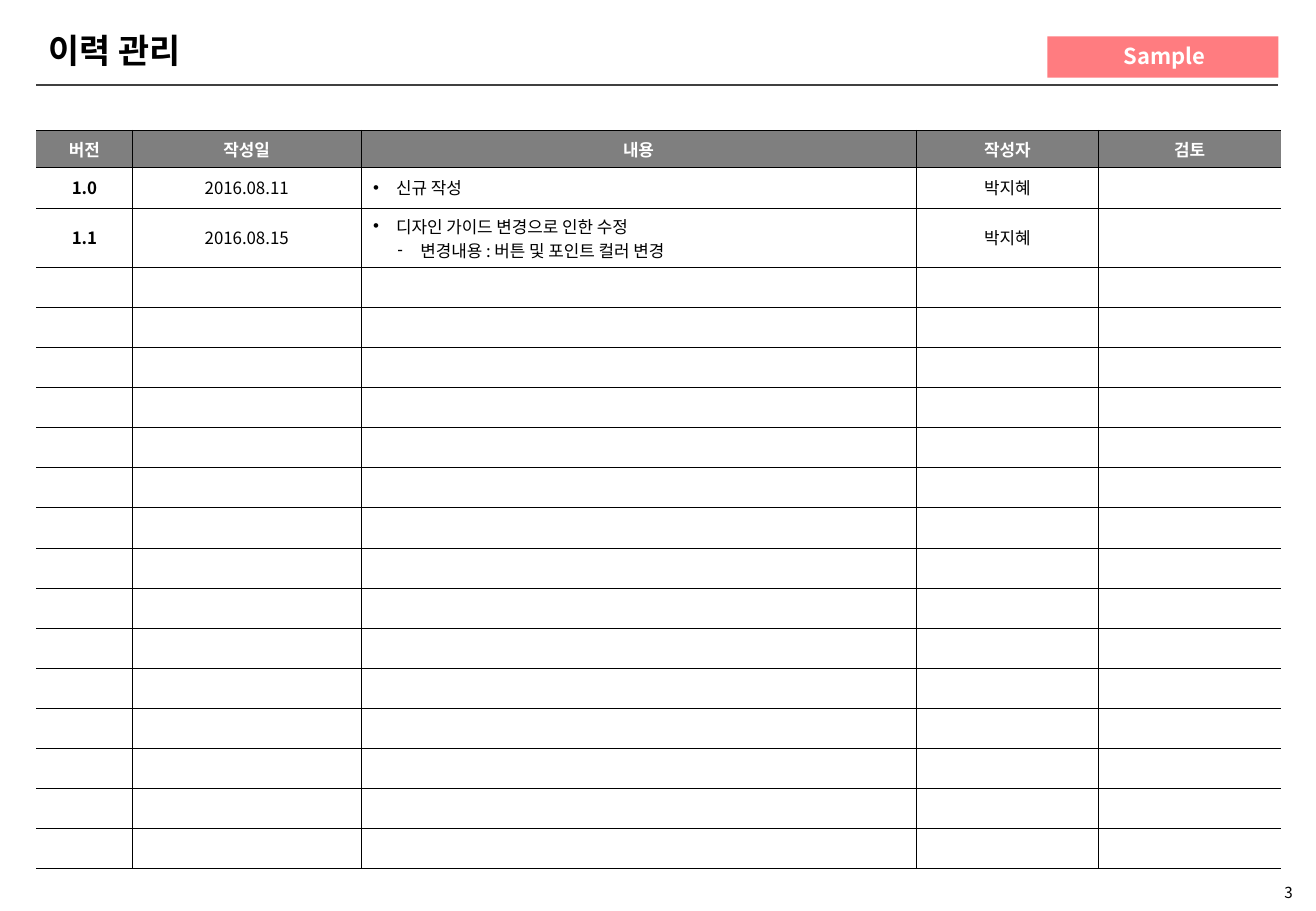
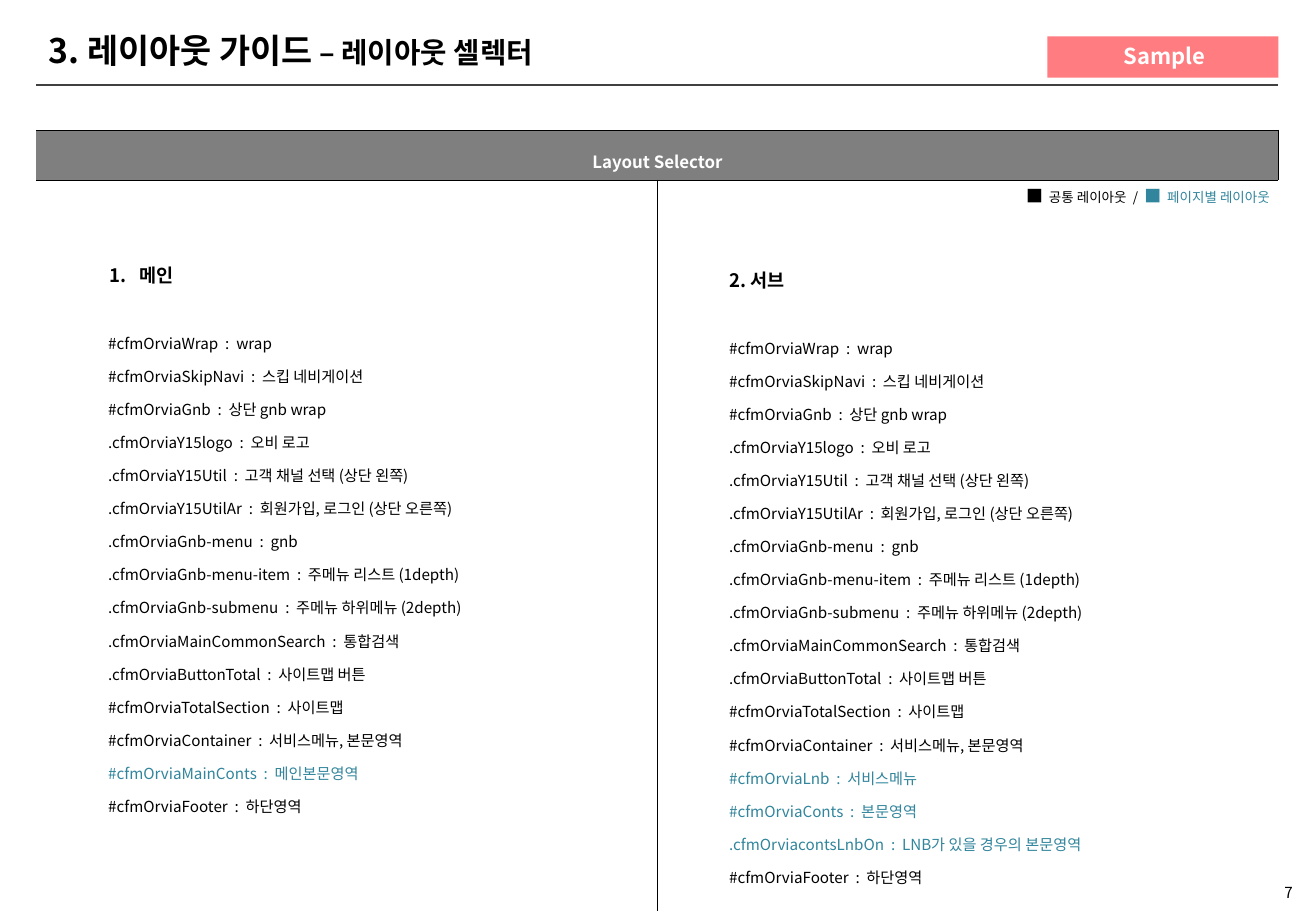
from lxml.etree import SubElement
from pptx import Presentation
from pptx.dml.color import RGBColor
from pptx.enum.shapes import MSO_CONNECTOR, MSO_SHAPE
from pptx.enum.text import MSO_ANCHOR, PP_ALIGN
from pptx.oxml.ns import qn
from pptx.util import Inches, Pt

FONT = "Noto Sans CJK KR"
BLACK, WHITE, GRAY = "000000", "FFFFFF", "7F7F7F"
RULE, CORAL, TEAL = "404040", "FF7C80", "31859C"
NO_STYLE = "{2D5ABB26-0587-4C30-8999-92F81FD0307C}"
LEFT, TABLE_TOP = 0.3, 1.07

HISTORY_HEAD = ["버전", "작성일", "내용", "작성자", "검토"]
HISTORY = [
    ("1.0", "2016.08.11", ["신규 작성"], "박지혜"),
    ("1.1", "2016.08.15",
     ["디자인 가이드 변경으로 인한 수정", "변경내용 : 버튼 및 포인트 컬러 변경"], "박지혜"),
]
HISTORY_WIDTHS = [0.79, 1.88, 4.57, 1.5, 1.5]
HISTORY_HEIGHTS = [0.31, 0.33, 0.49] + [0.33] * 15

COMMON = [
    "#cfmOrviaWrap  :  wrap",
    "#cfmOrviaSkipNavi  :  스킵 네비게이션",
    "#cfmOrviaGnb  :  상단 gnb wrap",
    ".cfmOrviaY15logo  :  오비 로고",
    ".cfmOrviaY15Util  :  고객 채널 선택 (상단 왼쪽)",
    ".cfmOrviaY15UtilAr  :  회원가입, 로그인 (상단 오른쪽)",
    ".cfmOrviaGnb-menu  :  gnb",
    ".cfmOrviaGnb-menu-item  :  주메뉴 리스트 (1depth)",
    ".cfmOrviaGnb-submenu  :  주메뉴 하위메뉴 (2depth)",
    ".cfmOrviaMainCommonSearch  :  통합검색",
    ".cfmOrviaButtonTotal  :  사이트맵 버튼",
    "#cfmOrviaTotalSection  :  사이트맵",
    "#cfmOrviaContainer  :  서비스메뉴, 본문영역",
]
MAIN_ONLY = ["#cfmOrviaMainConts  :  메인본문영역"]
SUB_ONLY = [
    "#cfmOrviaLnb  :  서비스메뉴",
    "#cfmOrviaConts  :  본문영역",
    ".cfmOrviacontsLnbOn  :  LNB가 있을 경우의 본문영역",
]
FOOTER = "#cfmOrviaFooter  :  하단영역"


def rgb(value):
    return RGBColor.from_string(value)


def box(left, top, width, height):
    return [Inches(v) for v in (left, top, width, height)]


def add_run(p, text, size, color=BLACK, bold=False):
    r = p.add_run()
    r.text = text
    for key, value in {"size": Pt(size), "bold": bold, "name": FONT}.items():
        setattr(r.font, key, value)
    r.font.color.rgb = rgb(color)
    rPr = r._r.get_or_add_rPr()
    rPr.set("kern", "0")
    SubElement(rPr, qn("a:ea"), typeface=FONT)


def add_paragraph(tf, first, **formats):
    p = tf.paragraphs[0] if first else tf.add_paragraph()
    for key, value in formats.items():
        setattr(p, key, value)
    return p


def indent(p, left, first=0, bullet=None, kind="char"):
    pPr = p._p.get_or_add_pPr()
    pPr.set("marL", str(Inches(left)))
    pPr.set("indent", str(Inches(first)))
    if bullet and kind == "char":
        SubElement(pPr, qn("a:buFont"), typeface="Arial")
        SubElement(pPr, qn("a:buChar"), char=bullet)
    elif bullet:
        SubElement(pPr, qn("a:buAutoNum"), type=bullet)


def add_text(s, frame, runs, align):
    tf = s.shapes.add_textbox(*box(*frame)).text_frame
    tf.word_wrap = True
    tf.vertical_anchor = MSO_ANCHOR.MIDDLE
    p = add_paragraph(tf, True, alignment=align)
    for run in runs:
        add_run(p, *run)


def add_badge(s):
    sp = s.shapes.add_shape(MSO_SHAPE.RECTANGLE, *box(8.62, 0.3, 1.9, 0.34))
    sp.shadow.inherit = False
    sp.fill.solid()
    sp.fill.fore_color.rgb = rgb(CORAL)
    sp.line.fill.background()
    tf = sp.text_frame
    margins = {"left": 0.02, "top": 0, "right": 0, "bottom": 0.02}
    for side, value in margins.items():
        setattr(tf, "margin_" + side, Inches(value))
    tf.vertical_anchor = MSO_ANCHOR.MIDDLE
    p = add_paragraph(tf, True, alignment=PP_ALIGN.CENTER)
    add_run(p, "Sample", 13, WHITE, True)


def add_rule(s):
    line = s.shapes.add_connector(
        MSO_CONNECTOR.STRAIGHT, *box(LEFT, 0.7, 10.52, 0.7))
    line.line.color.rgb = rgb(RULE)
    line.line.width = Pt(0.75)
    SubElement(line._element.spPr, qn("a:effectLst"))


def add_slide(prs, title, number):
    s = prs.slides.add_slide(prs.slide_layouts[5])
    add_rule(s)
    add_text(s, (10.37, 7.19, 0.47, 0.31), [(number, 9)], PP_ALIGN.CENTER)
    sp = s.shapes.title
    sp.left, sp.top, sp.width, sp.height = box(LEFT, 0.18, 10.24, 0.47)
    tf = sp.text_frame
    tf.vertical_anchor = MSO_ANCHOR.MIDDLE
    p = add_paragraph(tf, True, alignment=PP_ALIGN.LEFT)
    for text, size in title:
        add_run(p, text, size, BLACK, True)
    add_badge(s)
    return s


def add_table(s, widths, heights):
    frame = s.shapes.add_table(
        len(heights), len(widths),
        *box(LEFT, TABLE_TOP, sum(widths), sum(heights)))
    table = frame.table
    table.first_row = table.horz_banding = False
    table._tbl.tblPr.find(qn("a:tableStyleId")).text = NO_STYLE
    for column, width in zip(table.columns, widths):
        column.width = Inches(width)
    for row, height in zip(table.rows, heights):
        row.height = Inches(height)
    return table


def style_cell(cell, fill, sides, anchor=MSO_ANCHOR.MIDDLE):
    tcPr = cell._tc.get_or_add_tcPr()
    for side in "LRTB":
        if side in sides:
            ln = SubElement(tcPr, qn("a:ln" + side), w=str(Pt(0.25)))
            paint = SubElement(ln, qn("a:solidFill"))
            SubElement(paint, qn("a:srgbClr"), val=BLACK)
    cell.fill.solid()
    cell.fill.fore_color.rgb = rgb(fill)
    cell.vertical_anchor = anchor


def fill_history_cell(cell, content, color, bold):
    tf = cell.text_frame
    if not content:
        SubElement(tf.paragraphs[0]._p, qn("a:endParaRPr"), sz="1000")
    elif isinstance(content, str):
        p = add_paragraph(tf, True, alignment=PP_ALIGN.CENTER)
        add_run(p, content, 10, color, bold)
    else:
        for level, text in enumerate(content):
            p = add_paragraph(tf, level == 0, level=level)
            indent(p, (0.19, 0.39)[level], -0.19, "•-"[level])
            add_run(p, text, 10, color, bold)


def build_history(prs):
    s = add_slide(prs, [("이력 관리", 20)], "3")
    table = add_table(s, HISTORY_WIDTHS, HISTORY_HEIGHTS)
    rows = [HISTORY_HEAD] + HISTORY
    last = len(HISTORY_WIDTHS) - 1
    for i in range(len(HISTORY_HEIGHTS)):
        for j in range(len(HISTORY_WIDTHS)):
            cell = table.cell(i, j)
            sides = "TB" + ("L" if j else "") + ("R" if j < last else "")
            style_cell(cell, WHITE if i else GRAY, sides)
            content = rows[i][j] if i < len(rows) and j < len(rows[i]) else ""
            fill_history_cell(cell, content, BLACK if i else WHITE, i == 0 or j == 0)


def fill_selectors(cell, heading, numbered, own, top):
    cell.margin_top = Inches(top)
    tf = cell.text_frame
    p = add_paragraph(tf, True, level=1, line_spacing=1.5, space_after=Pt(19.5))
    if numbered:
        indent(p, 0.75, -0.25, "arabicPeriod", "number")
    else:
        indent(p, 0.49)
    add_run(p, heading, 11, BLACK, True)
    for text in COMMON + own + [FOOTER]:
        p = add_paragraph(tf, False, level=1, line_spacing=1.5)
        indent(p, 0.49)
        add_run(p, text, 9, TEAL if text in own else BLACK)


def build_selectors(prs):
    title = [("3. 레이아웃 가이드", 20), (" – 레이아웃 셀렉터", 17)]
    s = add_slide(prs, title, "7")
    table = add_table(s, [5.11, 5.11], [0.41, 6.02])
    head, main_cell, sub_cell = table.cell(0, 0), table.cell(1, 0), table.cell(1, 1)
    head.merge(table.cell(0, 1))
    style_cell(head, GRAY, "TBR")
    style_cell(table.cell(0, 1), GRAY, "TBR")
    p = add_paragraph(head.text_frame, True,
                      alignment=PP_ALIGN.CENTER, line_spacing=1.5)
    add_run(p, "Layout Selector", 10, WHITE, True)
    style_cell(main_cell, WHITE, "TR", MSO_ANCHOR.TOP)
    style_cell(sub_cell, WHITE, "TL", MSO_ANCHOR.TOP)
    fill_selectors(main_cell, "메인", True, MAIN_ONLY, 0.56)
    fill_selectors(sub_cell, "2. 서브", False, SUB_ONLY, 0.6)
    legend = [("■", 10), ("  공통 레이아웃  /  ", 8),
              ("■", 10, TEAL), ("  페이지별 레이아웃", 8, TEAL)]
    add_text(s, (LEFT, 1.38, 10.25, 0.47), legend, PP_ALIGN.RIGHT)


def main():
    prs = Presentation()
    prs.slide_width, prs.slide_height = Inches(10.83), Inches(7.5)
    build_history(prs)
    build_selectors(prs)
    prs.save("out.pptx")


if __name__ == "__main__":
    main()
